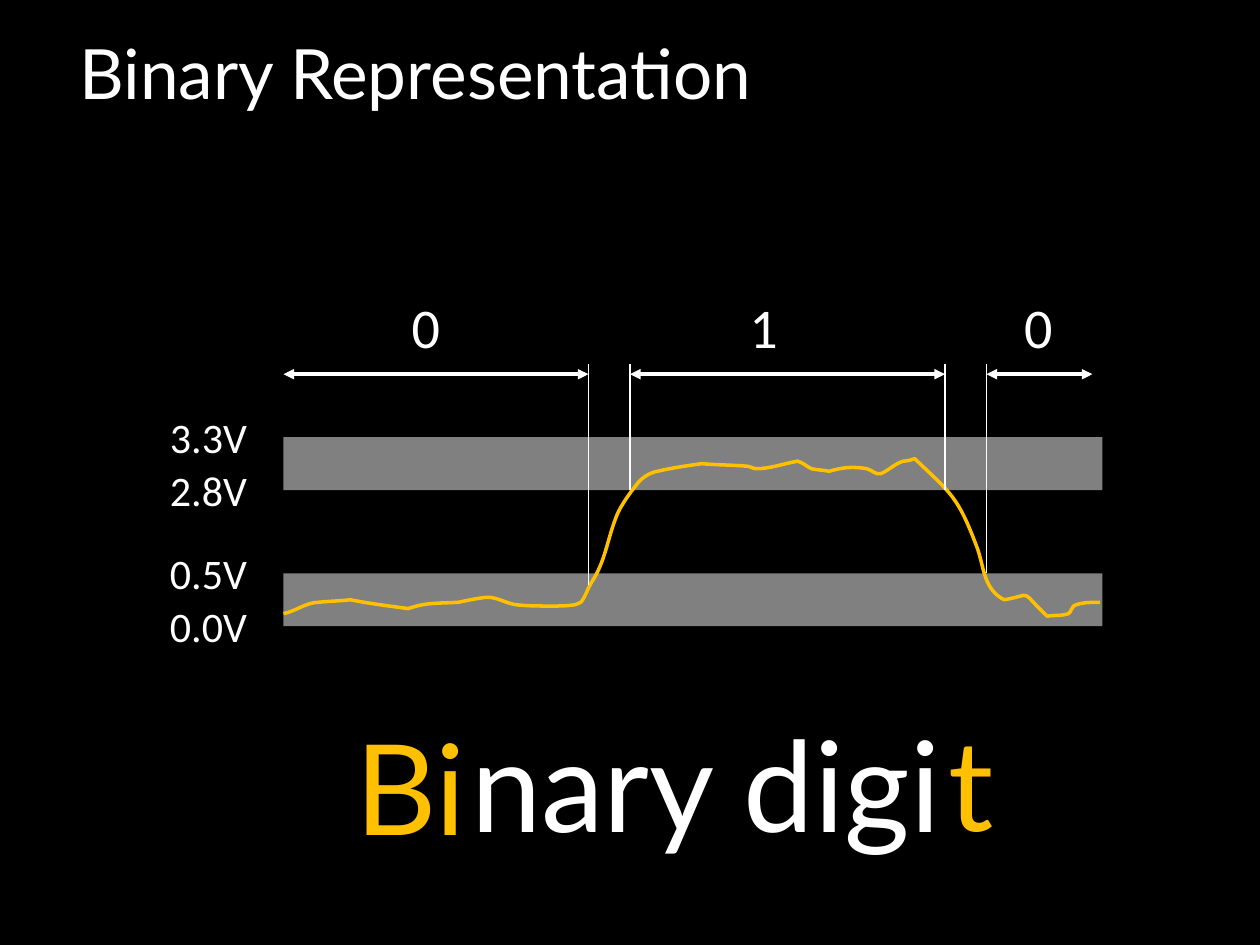
from dataclasses import dataclass

import lxml.etree
import pptx
import pptx.dml.color
import pptx.enum.shapes
import pptx.enum.text
import pptx.oxml.ns
import pptx.util

RGBColor = pptx.dml.color.RGBColor
Align = pptx.enum.text.PP_ALIGN
BLACK = RGBColor(0x00, 0x00, 0x00)
WHITE = RGBColor(0xFF, 0xFF, 0xFF)
GRAY = RGBColor(0x80, 0x80, 0x80)
GOLD = RGBColor(0xFF, 0xC0, 0x00)

EMU_PER_PX = 9144
BAND_LEFT, BAND_WIDTH, BAND_HEIGHT = 225, 650, 42
BAND_TOPS = (455, 347)
ARROW_Y, MARKER_TOP = 297, 289


@dataclass(frozen=True)
class Label:
    text: str
    left: int
    top: int
    width: int
    height: int
    size: float
    font: str = "Calibri"
    color: RGBColor = WHITE
    align: Align = Align.LEFT
    wrap: bool = False


@dataclass(frozen=True)
class Line:
    start: tuple[int, int]
    end: tuple[int, int]
    width: int
    arrows: bool = False


VOLTAGES = [
    Label(text, 125, top, 82, 50, 24)
    for text, top in (("0.0V", 472), ("0.5V", 430), ("2.8V", 364), ("3.3V", 322))
]
BITS = [
    Label(text, left, 227, width, 64, 32, align=Align.CENTER, wrap=True)
    for text, left, width in (("0", 312, 52), ("1", 580, 52), ("0", 803, 33))
]
WORD_PARTS = [
    Label(text, left, top, width, 131, 72, "Lato", color)
    for text, left, top, width, color in (
        ("Bi", 272, 558, 109, GOLD),
        ("nary digi", 364, 556, 395, WHITE),
        ("t", 743, 555, 55, GOLD),
    )
]
SPANS = [
    Line((left, ARROW_Y), (right, ARROW_Y), 2, True)
    for left, right in ((225, 467), (500, 750), (783, 867))
]
MARKERS = [
    Line((x, MARKER_TOP), (x, bottom), 1)
    for x, bottom in ((467, 464), (500, 389), (750, 389), (783, 455))
]
SIGNAL_START = (225, 487)
SIGNAL_CURVES = [
    ((235, 485), (243, 478), (253, 478)),
    ((262, 477), (270, 477), (278, 476)),
    ((293, 479), (309, 481), (324, 483)),
    ((339, 478), (345, 479), (364, 478)),
    ((368, 477), (383, 474), (387, 474)),
    ((395, 474), (402, 479), (410, 480)),
    ((419, 481), (429, 481), (438, 481)),
    ((444, 481), (450, 481), (456, 480)),
    ((458, 479), (460, 479), (461, 478)),
    ((465, 473), (466, 468), (469, 463)),
    ((481, 445), (482, 427), (490, 408)),
    ((493, 401), (500, 391), (505, 385)),
    ((509, 379), (516, 375), (522, 374)),
    ((534, 371), (557, 368), (557, 368)),
    ((569, 369), (581, 369), (593, 370)),
    ((595, 370), (598, 372), (600, 372)),
    ((611, 372), (622, 368), (633, 366)),
    ((637, 367), (640, 370), (644, 372)),
    ((648, 373), (653, 373), (658, 374)),
    ((669, 371), (676, 370), (688, 372)),
    ((692, 373), (695, 377), (699, 376)),
    ((706, 373), (710, 368), (717, 366)),
    ((720, 366), (723, 365), (726, 364)),
    ((755, 392), (760, 393), (776, 436)),
    ((781, 451), (781, 468), (797, 476)),
    ((821, 472), (808, 467), (831, 489)),
    ((837, 488), (843, 489), (848, 487)),
    ((850, 486), (850, 483), (852, 481)),
    ((857, 478), (867, 478), (873, 478)),
]


def px(value: int) -> pptx.util.Emu:
    return pptx.util.Emu(value * EMU_PER_PX)


def format_text(shape, size: float, font: str, color: RGBColor, align: Align) -> None:
    paragraph = shape.text_frame.paragraphs[0]
    paragraph.alignment = align
    for run in paragraph.runs:
        run.font.size = pptx.util.Pt(size)
        run.font.name = font
        run.font.color.rgb = color


def add_title(slide, text: str) -> None:
    title = slide.shapes.title
    title.left, title.top, title.width, title.height = map(px, (53, 29, 862, 65))
    title.text_frame.text = text
    title.text_frame.vertical_anchor = pptx.enum.text.MSO_ANCHOR.MIDDLE
    title.text_frame.paragraphs[0].line_spacing = 0.9
    format_text(title, 39.6, "Lato", WHITE, Align.LEFT)


def add_label(shapes, label: Label) -> None:
    shape = shapes.add_textbox(
        px(label.left), px(label.top), px(label.width), px(label.height)
    )
    shape.text_frame.text = label.text
    shape.text_frame.word_wrap = label.wrap
    shape.text_frame.auto_size = pptx.enum.text.MSO_AUTO_SIZE.SHAPE_TO_FIT_TEXT
    format_text(shape, label.size, label.font, label.color, label.align)


def add_band(shapes, top: int) -> None:
    band = shapes.add_shape(
        pptx.enum.shapes.MSO_SHAPE.RECTANGLE,
        px(BAND_LEFT), px(top), px(BAND_WIDTH), px(BAND_HEIGHT),
    )
    band.shadow.inherit = False
    band.fill.solid()
    band.fill.fore_color.rgb = GRAY
    band.line.fill.background()


def add_line(shapes, line: Line) -> None:
    connector = shapes.add_connector(
        pptx.enum.shapes.MSO_CONNECTOR.STRAIGHT, *map(px, line.start + line.end)
    )
    connector.line.color.rgb = WHITE
    connector.line.width = pptx.util.Pt(line.width)
    properties = connector.element.find(pptx.oxml.ns.qn("p:spPr"))
    outline = properties.find(pptx.oxml.ns.qn("a:ln"))
    if line.arrows:
        for tag in ("a:headEnd", "a:tailEnd"):
            lxml.etree.SubElement(outline, pptx.oxml.ns.qn(tag), type="triangle")
    lxml.etree.SubElement(properties, pptx.oxml.ns.qn("a:effectLst"))


def add_signal(shapes) -> None:
    ends = [curve[-1] for curve in SIGNAL_CURVES]
    builder = shapes.build_freeform(*SIGNAL_START, scale=float(EMU_PER_PX))
    builder.add_line_segments(ends, close=False)
    signal = builder.convert_to_shape()
    left, top = (min(values) for values in zip(SIGNAL_START, *ends))
    segments = list(signal.element.iter(pptx.oxml.ns.qn("a:lnTo")))
    for segment, curve in zip(segments, SIGNAL_CURVES):
        bezier = lxml.etree.Element(pptx.oxml.ns.qn("a:cubicBezTo"))
        for x, y in curve:
            lxml.etree.SubElement(
                bezier, pptx.oxml.ns.qn("a:pt"), x=str(x - left), y=str(y - top)
            )
        segment.getparent().replace(segment, bezier)
    signal.shadow.inherit = False
    signal.fill.background()
    signal.line.color.rgb = GOLD
    signal.line.width = pptx.util.Pt(2)


def main() -> None:
    presentation = pptx.Presentation()
    presentation.slide_width, presentation.slide_height = px(1000), px(750)
    slide = presentation.slides.add_slide(presentation.slide_layouts[5])
    slide.background.fill.solid()
    slide.background.fill.fore_color.rgb = BLACK
    add_title(slide, "Binary Representation")
    diagram = slide.shapes.add_group_shape().shapes
    for top in BAND_TOPS:
        add_band(diagram, top)
    add_signal(diagram)
    for label in VOLTAGES:
        add_label(diagram, label)
    for line in SPANS + MARKERS:
        add_line(diagram, line)
    for label in BITS:
        add_label(diagram, label)
    for label in WORD_PARTS:
        add_label(slide.shapes, label)
    presentation.save("out.pptx")


if __name__ == "__main__":
    main()
